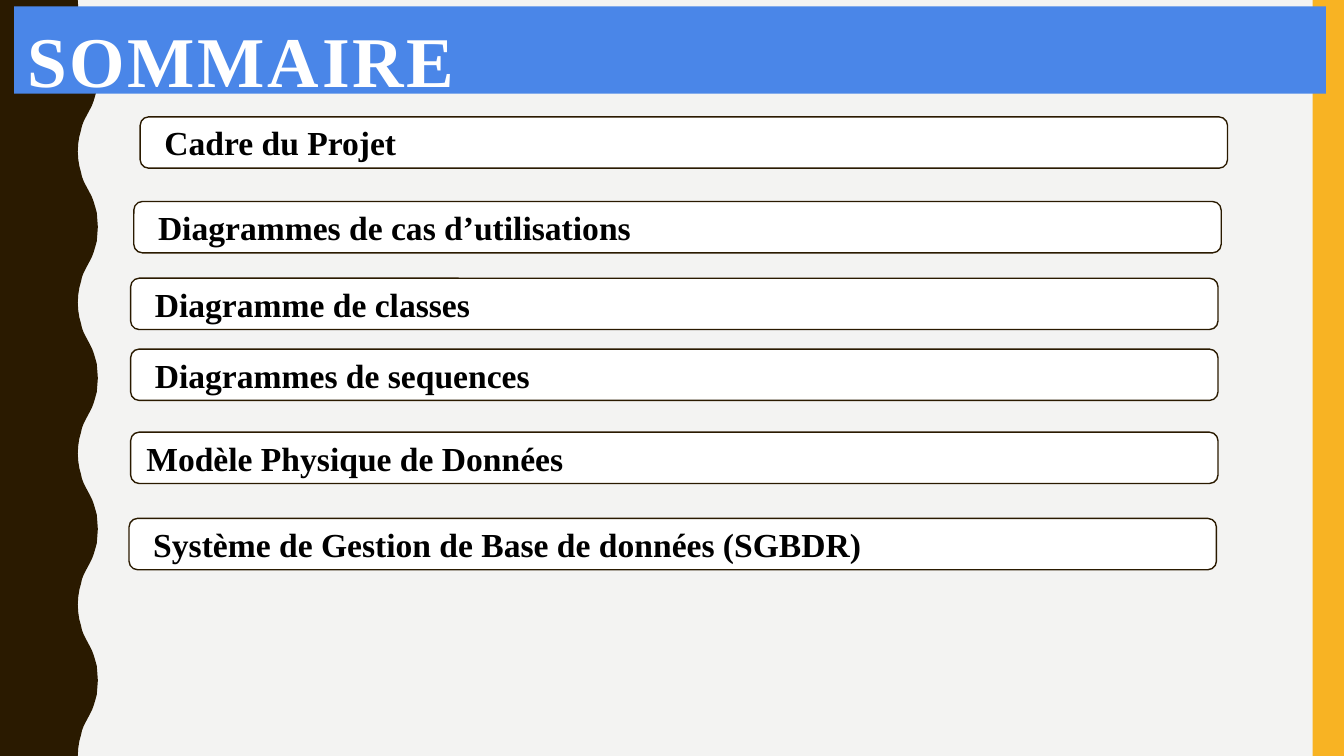
from lxml import etree
from pptx import Presentation
from pptx.dml.color import RGBColor
from pptx.enum.shapes import MSO_SHAPE as Preset
from pptx.enum.text import MSO_ANCHOR as Anchor, PP_ALIGN as Align
from pptx.util import Cm, Pt

WIDTH, HEIGHT = 25.4, 14.29
FONT = "Times New Roman"
BROWN, YELLOW, BLUE = "2A1A00", "F8B323", "4A86E8"
WHITE, BLACK, GREY = "FFFFFF", "000000", "F3F3F2"

# Left edge of the slide: half a wave as (x, y) in cm, mirrored and repeated
HALF_WAVE = [(1.47, 0), (1.48, 0.15), (1.5, 0.28), (1.53, 0.39), (1.55, 0.48),
             (1.58, 0.56), (1.62, 0.64), (1.7, 0.79), (1.74, 0.87), (1.77, 0.95),
             (1.8, 1.05), (1.83, 1.16), (1.84, 1.29), (1.85, 1.43)]
WAVE_COUNT = 5

# Agenda entries: left, top, text indent (cm), wording
ENTRIES = [
    (2.65, 2.21, 0.16, "Cadre du Projet"),
    (2.53, 3.81, 0.16, "Diagrammes de cas d’utilisations"),
    (2.47, 5.26, 0.16, "Diagramme de classes"),
    (2.47, 6.6, 0.16, "Diagrammes de sequences"),
    (2.47, 8.17, 0, "Modèle Physique de Données"),
    (2.44, 9.8, 0.16, "Système de Gestion de Base de données (SGBDR)"),
]


def color(value):
    return RGBColor.from_string(value)


def paint(shape, fill, line=None):
    shape.shadow.inherit = False
    shape.fill.solid()
    shape.fill.fore_color.rgb = color(fill)
    if line:
        shape.line.color.rgb = color(line)
        shape.line.width = Pt(0.75)
    else:
        shape.line.fill.background()


def add_box(slide, preset, left, top, width, height, fill, line=None):
    shape = slide.shapes.add_shape(preset, Cm(left), Cm(top), Cm(width), Cm(height))
    paint(shape, fill, line)
    return shape


def write(shape, text, size, font_color, anchor, indent=0, top_inset=0.25):
    frame = shape.text_frame
    frame.word_wrap = True
    frame.vertical_anchor = anchor
    frame.margin_left = Cm(0.25 + indent)
    frame.margin_right = frame.margin_bottom = Cm(0.25)
    frame.margin_top = Cm(top_inset)
    paragraph = frame.paragraphs[0]
    paragraph.text = text
    paragraph.alignment = Align.LEFT
    font = paragraph.font
    font.name, font.size, font.bold = FONT, Pt(size), True
    font.color.rgb = color(font_color)
    return paragraph


def add_wavy_edge(slide):
    period = HEIGHT / WAVE_COUNT
    wave = HALF_WAVE + [(x, period - y) for x, y in reversed(HALF_WAVE[1:-1])]
    points = [(x, y + period * index) for index in range(WAVE_COUNT) for x, y in wave]
    points += [(HALF_WAVE[0][0], HEIGHT), (0, HEIGHT)]
    builder = slide.shapes.build_freeform(0, 0, scale=Cm(0.01))
    builder.add_line_segments([(x * 100, y * 100) for x, y in points], close=True)
    paint(builder.convert_to_shape(), BROWN)


def add_title(slide, text):
    banner = add_box(slide, Preset.RECTANGLE, 0.27, 0.12, 24.79, 1.65, BLUE)
    paragraph = write(banner, text, 38.2, WHITE, Anchor.TOP, top_inset=0.37)
    paragraph.line_spacing = 0.9
    # Letter spacing of 1.5 points
    for run in paragraph.runs:
        run.font._element.set("spc", "150")


def add_entry(slide, left, top, indent, text):
    box = add_box(slide, Preset.ROUNDED_RECTANGLE, left, top, 20.55, 0.97, WHITE, BROWN)
    write(box, text, 18, BLACK, Anchor.MIDDLE, indent)


def main():
    presentation = Presentation()
    presentation.slide_width, presentation.slide_height = Cm(WIDTH), Cm(HEIGHT)
    slide = presentation.slides.add_slide(presentation.slide_layouts[6])
    slide.background.fill.solid()
    slide.background.fill.fore_color.rgb = color(GREY)

    # Decorated edges
    add_wavy_edge(slide)
    add_box(slide, Preset.RECTANGLE, 24.81, 0, 0.59, HEIGHT, YELLOW)

    # Title and agenda
    add_title(slide, "SOMMAIRE")
    for entry in ENTRIES:
        add_entry(slide, *entry)

    presentation.save("out.pptx")


main()
